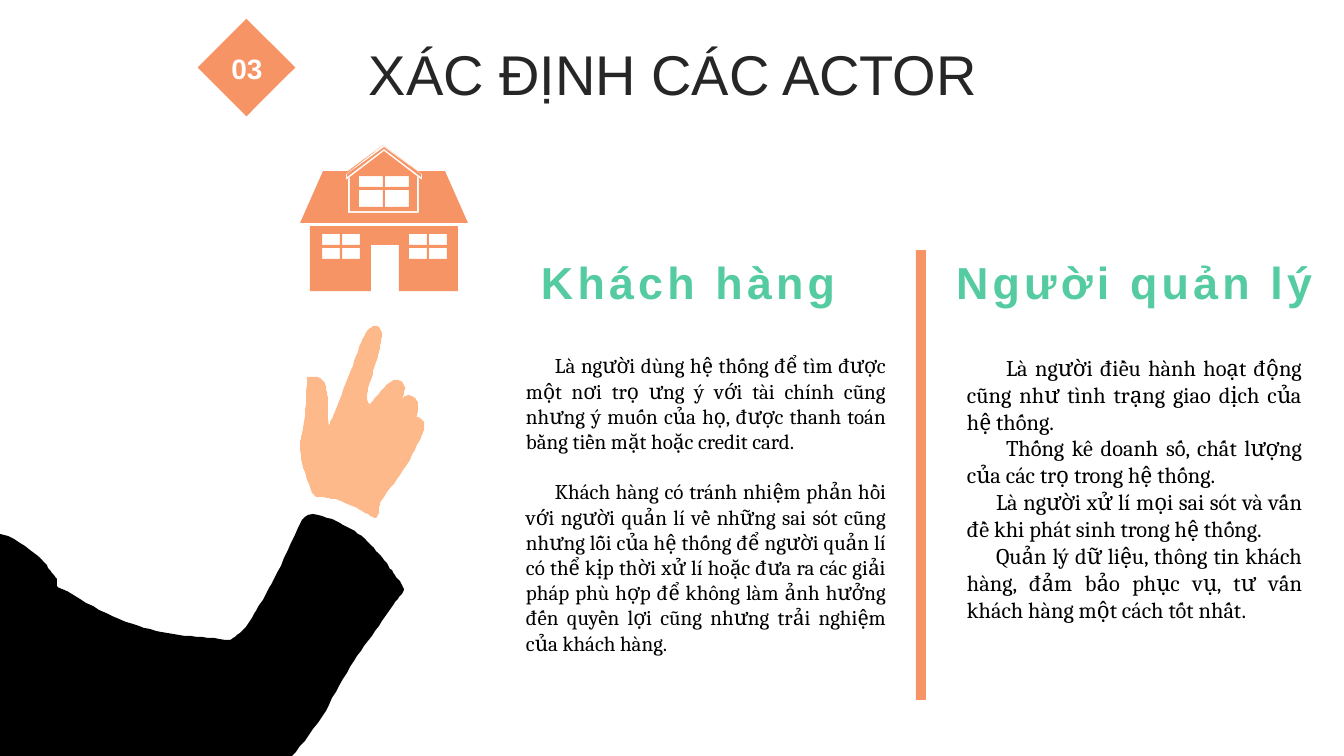
from itertools import product

from lxml.etree import SubElement
from pptx import Presentation
from pptx.dml.color import RGBColor
from pptx.enum.text import MSO_ANCHOR as Anchor, MSO_AUTO_SIZE as AutoSize, PP_ALIGN as Align
from pptx.oxml.ns import qn
from pptx.util import Emu, Pt
from pptx.enum.shapes import MSO_SHAPE as Shape

SCALE = 914400 / 100.8
ORANGE, GREEN, SKIN, BLACK = "F79465", "54CBA0", "FDB98A", "000000"

SLEEVE = [
    (326, 711), (316, 726, 302, 745, 292, 756), (0, 756), (0, 534),
    (22, 539, 32, 553, 41, 559), (46, 564, 51, 571, 56, 578),
    (58, 580, 56, 584, 58, 587), (60, 589, 65, 590, 67, 591), (80, 599),
    (97, 609, 114, 618, 133, 624), (148, 629, 163, 633, 179, 635),
    (195, 637, 210, 637, 225, 640), (230, 641, 234, 638, 237, 635),
    (246, 629, 251, 620, 256, 611), (262, 601, 268, 591, 273, 581),
    (284, 561, 292, 540, 302, 520), (308, 509, 326, 517, 336, 521),
    (346, 525, 356, 532, 365, 539), (373, 546, 380, 555, 387, 563),
    (390, 568, 393, 573, 396, 577), (398, 579, 405, 587, 404, 590),
    (402, 595, 397, 599, 394, 604), (382, 621),
    (373, 634, 363, 647, 354, 661), (344, 677, 334, 694, 326, 711),
]
HAND = [
    (420, 440), (415, 449, 411, 458, 406, 466), (398, 478, 389, 489, 381, 501),
    (378, 504, 380, 516, 376, 518), (375, 518, 374, 518, 373, 517),
    (366, 513, 359, 509, 352, 506), (346, 503, 340, 500, 333, 499),
    (328, 498, 323, 497, 318, 497), (312, 498, 309, 483, 307, 480),
    (304, 469, 300, 458, 300, 446), (300, 439, 302, 434, 303, 428),
    (306, 412, 306, 395, 307, 379), (307, 377), (313, 377),
    (317, 377, 320, 377, 322, 380), (325, 383, 326, 386, 326, 390),
    (328, 396, 328, 403, 328, 409), (328, 418), (329, 427),
    (330, 423, 332, 418, 334, 414), (339, 401, 344, 388, 349, 375),
    (354, 363, 358, 350, 363, 338), (365, 334, 367, 331, 370, 328),
    (372, 327, 374, 325, 377, 326), (383, 328, 382, 337, 381, 341),
    (380, 347, 379, 352, 378, 357), (375, 364, 373, 372, 371, 380),
    (369, 386, 365, 396, 368, 402), (368, 403, 369, 404, 370, 404), (371, 403),
    (375, 398, 379, 393, 384, 388), (387, 385, 391, 380, 396, 380),
    (399, 380, 403, 382, 404, 385), (405, 387, 405, 390, 404, 392),
    (404, 394, 403, 397, 402, 399), (403, 395, 409, 395, 412, 396),
    (416, 398, 418, 401, 418, 405), (419, 409, 418, 413, 416, 417),
    (422, 417, 424, 421, 424, 426), (424, 431, 422, 436, 420, 440),
]
WALLS = [(310, 226), (458, 226), (458, 291), (399, 291), (399, 245), (371, 245), (371, 291), (310, 291)]
ROOF = [(383, 145), (418, 171), (445, 171), (468, 223), (300, 223), (323, 171), (348, 171)]
GABLE = [(383, 145), (422, 174), (422, 180), (384, 151), (346, 180), (346, 174)]
GABLE_TRIM = [(384, 147), (421, 174), (421, 177), (384, 149), (347, 177), (347, 174)]
DORMER = [(348, 179), (348, 213), (419, 213), (419, 178), (417, 176), (417, 211), (350, 211), (350, 177)]

CUSTOMER = [
    ("Là người dùng hệ thống để tìm được một nơi trọ ưng ý với tài chính cũng nhưng ý muốn của họ, "
     "được thanh toán bằng tiền mặt hoặc credit card.", 29, 0),
    ("Khách hàng có tránh nhiệm phản hồi với người quản lí về những sai sót cũng nhưng lỗi của hệ thống "
     "để người quản lí có thể kịp thời xử lí hoặc đưa ra các giải pháp phù hợp để không làm ảnh hưởng "
     "đến quyền lợi cũng nhưng trải nghiệm của khách hàng.", 29, 18),
]
MANAGER = [
    ("Là người điều hành hoạt động cũng như tình trạng giao dịch của hệ thống.", 39, 0),
    ("Thống kê doanh số, chất lượng của các trọ trong hệ thống.", 39, 0),
    ("Là người xử lí mọi sai sót và vấn đề khi phát sinh trong hệ thống.", 29, 0),
    ("Quản lý dữ liệu, thông tin khách hàng, đảm bảo phục vụ, tư vấn khách hàng một cách tốt nhất.", 29, 0),
]


def px(value):
    """Turn pixels into EMU."""
    return Emu(round(value * SCALE))


def color(value):
    """Turn a hex string into a colour."""
    return RGBColor.from_string(value)


def set_values(target, values):
    """Set each named attribute on the target."""
    for name, value in values.items():
        setattr(target, name, value)


def place(shape, left, top, width, height):
    """Move and size a shape in pixels."""
    set_values(shape, {"left": px(left), "top": px(top), "width": px(width), "height": px(height)})


def paint(shape, fill):
    """Give a shape a plain fill without line or shadow."""
    shape.fill.solid()
    shape.fill.fore_color.rgb = color(fill)
    shape.line.fill.background()
    shape.shadow.inherit = False


def write(shape, paragraphs, font, ink, align, anchor=Anchor.TOP, inset=10, line=1, tracking=0):
    """Fill a shape with (text, first indent, space before) paragraphs."""
    frame = shape.text_frame
    set_values(frame, {"word_wrap": True, "auto_size": AutoSize.NONE, "vertical_anchor": anchor,
                       "margin_left": px(inset), "margin_right": px(inset),
                       "margin_top": px(5), "margin_bottom": px(5)})
    for number, (text, indent, before) in enumerate(paragraphs):
        paragraph = frame.add_paragraph() if number else frame.paragraphs[0]
        set_values(paragraph, {"alignment": align, "line_spacing": line, "space_before": Pt(before)})
        properties = paragraph._p.get_or_add_pPr()
        properties.set("marL", "0")
        properties.set("indent", str(px(indent)))
        SubElement(properties, qn("a:buNone"))
        run = paragraph.add_run()
        run.text = text
        set_values(run.font, font)
        run.font.color.rgb = color(ink)
        if tracking:
            run._r.get_or_add_rPr().set("spc", str(tracking))


def flatten(segments, steps=8):
    """Turn line and cubic curve segments into points."""
    points = [segments[0]]
    for segment in segments[1:]:
        if len(segment) == 2:
            points.append(segment)
            continue
        nodes = [points[-1], segment[:2], segment[2:4], segment[4:]]
        for step in range(1, steps + 1):
            t = step / steps
            weights = ((1 - t) ** 3, 3 * t * (1 - t) ** 2, 3 * t * t * (1 - t), t ** 3)
            points.append(tuple(sum(w * node[axis] for w, node in zip(weights, nodes)) for axis in (0, 1)))
    return points


def add_outline(slide, left, top, contours, fill):
    """Draw closed contours as one freeform."""
    builder = slide.shapes.build_freeform(*contours[0][0], scale=SCALE)
    for number, contour in enumerate(contours):
        if number:
            builder.move_to(*contour[0])
        builder.add_line_segments(contour[1:], close=True)
    paint(builder.convert_to_shape(px(left), px(top)), fill)


def window(left, width, rows):
    """Return the four panes of a window."""
    return [[(x, top), (x + width, top), (x + width, bottom), (x, bottom)]
            for x, (top, bottom) in product((left, left + width + 2), rows)]


def add_illustration(slide, left, top):
    """Draw the arm pointing at the house."""
    for segments, fill in ((SLEEVE, BLACK), (HAND, SKIN)):
        add_outline(slide, left, top, [flatten(segments)], fill)
    panes = window(359, 24, [(176, 187), (190, 207)])
    for x in (322, 409):
        panes += window(x, 18, [(234, 245), (248, 259)])
    add_outline(slide, left, top, [WALLS, ROOF, GABLE, GABLE_TRIM, DORMER, *panes], ORANGE)


def add_header(slide, left, top, width, height):
    """Place the title and the numbered diamond."""
    title = slide.shapes.title
    place(title, left, top, width, height)
    write(title, [("XÁC ĐỊNH CÁC ACTOR", 0, 0)], {"name": "Arial", "size": Pt(40), "bold": False},
          "262626", Align.CENTER, Anchor.MIDDLE, line=0.9)
    diamond = slide.shapes.add_shape(Shape.RECTANGLE, px(left + 177), px(top - 4), px(69), px(69))
    diamond.rotation = 315
    paint(diamond, ORANGE)
    number = slide.shapes.add_textbox(px(left + 176), px(top + 9), px(72), px(44))
    write(number, [("03", 0, 0)], {"name": "Arial", "size": Pt(20), "bold": True}, "FFFFFF", Align.CENTER)


def add_actor(heading, body, name, paragraphs, size, heading_box, body_box, inset):
    """Fill one actor's heading and description."""
    place(heading, *heading_box)
    write(heading, [(name, 0, 0)], {"name": "Arial", "size": Pt(32), "bold": True},
          GREEN, Align.JUSTIFY, tracking=300)
    place(body, *body_box)
    write(body, paragraphs, {"name": "Cambria", "size": Pt(size)}, BLACK, Align.JUSTIFY, inset=inset)


def add_actors(slide, left, top):
    """Place both actor columns and the divider."""
    _, *fields = slide.placeholders
    add_actor(*fields[:2], "Khách hàng", CUSTOMER, 15,
              (left + 17, top, 367, 65), (left, top + 98, 384, 341), 12)
    add_actor(*fields[2:], "Người quản lý", MANAGER, 16,
              (left + 432, top, 383, 65), (left + 443, top + 99, 355, 338), 10)
    divider = slide.shapes.add_shape(Shape.RECTANGLE, px(left + 402), px(top), px(10), px(450))
    paint(divider, ORANGE)


presentation = Presentation()
set_values(presentation, {"slide_width": px(1344), "slide_height": px(756)})
actor_slide = presentation.slides.add_slide(presentation.slide_layouts.get_by_name("Comparison"))
add_illustration(actor_slide, 0, 0)
add_header(actor_slide, 35, 37, 1276, 80)
add_actors(actor_slide, 514, 250)
presentation.save("out.pptx")
